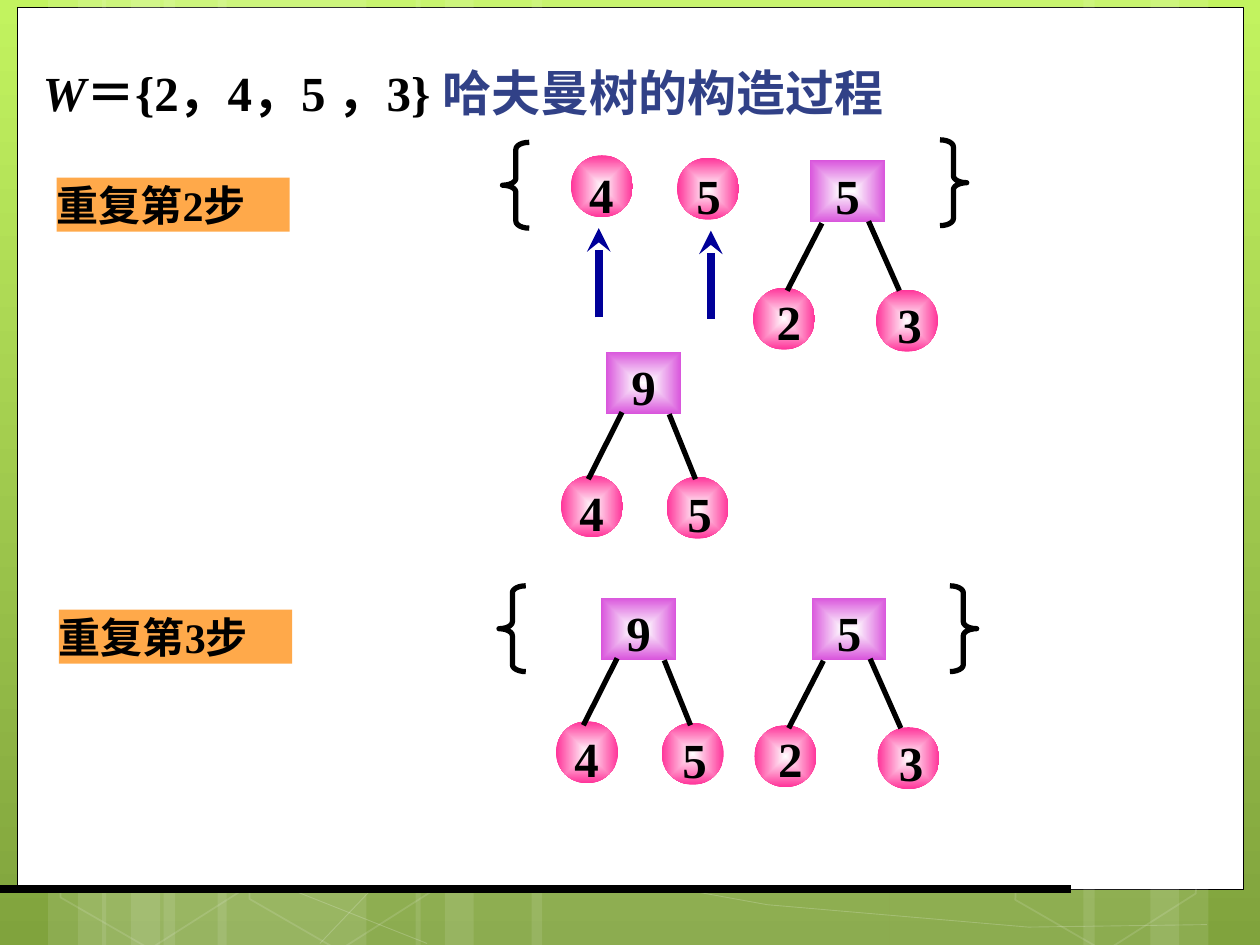
from dataclasses import dataclass

from lxml.etree import SubElement
from pptx import Presentation
from pptx.dml.color import RGBColor
from pptx.enum.shapes import MSO_CONNECTOR, MSO_SHAPE
from pptx.enum.text import MSO_ANCHOR, PP_ALIGN
from pptx.oxml.ns import qn
from pptx.util import Cm, Pt


@dataclass(frozen=True)
class Theme:
    latin: str = "Times New Roman"
    chinese: str = "Noto Sans CJK SC"
    black: str = "000000"
    white: str = "FFFFFF"
    title: str = "314187"
    label: str = "FFA94A"
    leaf: str = "FF3399"
    root: str = "D955DC"
    arrow: str = "000099"
    sky: str = "C2F35F"
    grass: str = "80A33D"
    large: int = 28
    medium: int = 24


# Child circles and branches are measured from the corner of the root square.
# Each child: circle corner, then label offset from the circle.
NARROW = {
    "children": [((-0.91, 2.49), (0.08, 0.04)), ((1.22, 2.52), (0.13, 0.04))],
    "branches": [(0.32, 1.22, -0.36, 2.57), (1.27, 1.26, 1.8, 2.57)],
}
WIDE = {
    "children": [((-1.15, 2.57), (0.19, -0.03)), ((1.33, 2.61), (0.14, 0))],
    "branches": [(0.24, 1.27, -0.46, 2.63), (1.18, 1.23, 1.8, 2.63)],
}
BARS = [(3.3, 4.09), (0.97, 1.17), (1.57, 1.96), (4.39, 4.09), (2.06, 1.17), (2.64, 1.93),
        (17.93, 4.14), (23.19, 1.17), (21.84, 1.93), (10.72, 7.21), (8.38, 1.17), (8.97, 1.96)]
CURVES = [
    [(0.91, 15.67), (4.9, 17.55), (8.61, 19.02)],
    [(0.94, 14.68), (3.78, 15.65), (9.12, 17.09), (15.47, 18.24), (20.73, 18.69), (24.33, 18.64)],
    [(6.45, 19.02), (7.85, 17.55), (9.86, 16.23), (15.01, 14.68), (21.51, 14.27), (24.31, 14.38)],
]
HEXAGONS = [(1.04, 15.01), (4.85, 15.04), (20.29, 15.06)]


class SlideBuilder:
    """Holds the theme and the slide that its methods draw on."""

    def __init__(self, slide, theme):
        self.slide = slide
        self.theme = theme

    def background(self):
        fill = self.slide.background.fill
        fill.gradient()
        fill.gradient_angle = 270
        self.color_stops(fill, self.theme.sky, self.theme.grass)

    def color_stops(self, fill, first, last):
        for stop, color in zip(fill.gradient_stops, (first, last)):
            stop.color.rgb = RGBColor.from_string(color)

    def fade(self, element, percent):
        """Make the solid colour inside element partly transparent."""
        color = next(element.iter(qn("a:srgbClr")))
        SubElement(color, qn("a:alpha")).set("val", str(percent * 1000))

    def outline(self, line, color, width):
        line.color.rgb = RGBColor.from_string(color)
        line.width = Pt(width)

    def shape(self, kind, left, top, width, height, fill=None, line=None, width_pt=0.5):
        shape = self.slide.shapes.add_shape(kind, Cm(left), Cm(top), Cm(width), Cm(height))
        shape.shadow.inherit = False
        if fill:
            shape.fill.solid()
            shape.fill.fore_color.rgb = RGBColor.from_string(fill)
        else:
            shape.fill.background()
        if line:
            self.outline(shape.line, line, width_pt)
        else:
            shape.line.fill.background()
        return shape

    def glowing_shape(self, kind, left, top, width, height, color):
        """Shape that shades from a white centre to its colour at the edges."""
        shape = self.shape(kind, left, top, width, height)
        shape.fill.gradient()
        self.color_stops(shape.fill, self.theme.white, color)
        gradient = shape._element.spPr.find(qn("a:gradFill"))
        gradient.remove(gradient.find(qn("a:lin")))
        center = SubElement(gradient, qn("a:path"))
        center.set("path", "rect")
        rectangle = SubElement(center, qn("a:fillToRect"))
        for side in "ltrb":
            rectangle.set(side, "50000")
        return shape

    def fill_text(self, shape, runs, size, align, anchor, insets=(0, 0, 0, 0), wrap=True):
        frame = shape.text_frame
        frame.word_wrap = wrap
        frame.vertical_anchor = anchor
        (frame.margin_left, frame.margin_top,
         frame.margin_right, frame.margin_bottom) = map(Cm, insets)
        paragraph = frame.paragraphs[0]
        paragraph.alignment = align
        font = paragraph.font
        font.size, font.bold, font.name = Pt(size), True, self.theme.latin
        font.color.rgb = RGBColor.from_string(self.theme.black)
        east_asian = SubElement(font._element, qn("a:ea"))
        east_asian.set("typeface", self.theme.chinese)
        for text in runs:
            paragraph.add_run().text = text
        return paragraph

    def digit(self, shape, value):
        self.fill_text(shape, [value], self.theme.large, PP_ALIGN.CENTER, MSO_ANCHOR.TOP,
                       (0, 0.1, 0, 0), wrap=False)

    def title(self, runs):
        box = self.slide.shapes.add_textbox(Cm(0.61), Cm(1.12), Cm(23.5), Cm(1.45))
        paragraph = self.fill_text(box, runs, self.theme.large, PP_ALIGN.LEFT,
                                   MSO_ANCHOR.MIDDLE, (0.25, 0.13, 0.25, 0.13))
        paragraph.runs[0].font.italic = True
        paragraph.runs[-1].font.color.rgb = RGBColor.from_string(self.theme.title)

    def step_label(self, text, left, top):
        shape = self.shape(MSO_SHAPE.RECTANGLE, left, top, 4.7, 1.09, self.theme.label)
        self.fill_text(shape, [text], self.theme.medium, PP_ALIGN.LEFT, MSO_ANCHOR.MIDDLE)

    def line(self, x1, y1, x2, y2, color, width, arrow=False):
        connector = self.slide.shapes.add_connector(
            MSO_CONNECTOR.STRAIGHT, Cm(x1), Cm(y1), Cm(x2), Cm(y2))
        self.outline(connector.line, color, width)
        properties = connector._element.spPr
        if arrow:
            SubElement(properties.find(qn("a:ln")), qn("a:tailEnd")).set("type", "stealth")
        SubElement(properties, qn("a:effectLst"))

    def curve(self, points):
        scaled = [(Cm(x), Cm(y)) for x, y in points]
        builder = self.slide.shapes.build_freeform(*scaled[0])
        builder.add_line_segments(scaled[1:], close=False)
        shape = builder.convert_to_shape()
        shape.shadow.inherit = False
        shape.fill.background()
        self.outline(shape.line, self.theme.white, 0.5)
        self.fade(shape._element.spPr, 20)

    def leaf(self, value, left, top, offset):
        self.glowing_shape(MSO_SHAPE.OVAL, left, top, 1.25, 1.25, self.theme.leaf)
        box = self.slide.shapes.add_textbox(
            Cm(left + offset[0]), Cm(top + offset[1]), Cm(1.07), Cm(1.45))
        self.digit(box, value)

    def tree(self, root, leaves, left, top, layout):
        for value, ((x, y), offset) in zip(leaves, layout["children"]):
            self.leaf(value, left + x, top + y, offset)
        square = self.glowing_shape(
            MSO_SHAPE.RECTANGLE, left, top, 1.51, 1.25, self.theme.root)
        self.digit(square, root)
        for x1, y1, x2, y2 in layout["branches"]:
            self.line(left + x1, top + y1, left + x2, top + y2, self.theme.black, 3)

    def brace(self, kind, left, top):
        shape = self.shape(kind, left, top, 0.54, 1.73, line=self.theme.black, width_pt=3)
        shape.adjustments[0] = 0.26

    def backdrop(self):
        theme = self.theme
        self.background()
        self.shape(MSO_SHAPE.RECTANGLE, 0.36, 0.15, 24.71, 17.78, theme.white, theme.black)
        for left, width in BARS:
            bar = self.shape(MSO_SHAPE.RECTANGLE, left, 0, width, 19.05, theme.white)
            self.fade(bar._element.spPr, 10)
        for points in CURVES:
            self.curve(points)
        for left, top in HEXAGONS:
            hexagon = self.shape(MSO_SHAPE.HEXAGON, left, top, 4.09, 3.86,
                                 line=theme.white, width_pt=1)
            hexagon.adjustments[0] = 0.26
            hexagon.rotation = 30
            self.fade(hexagon._element.spPr, 12)
        self.line(0, 17.93, 21.59, 17.93, theme.black, 4.5)


def main():
    presentation = Presentation()
    presentation.slide_width, presentation.slide_height = Cm(25.4), Cm(19.05)
    slide = presentation.slides.add_slide(presentation.slide_layouts[6])
    builder = SlideBuilder(slide, Theme())
    builder.backdrop()
    builder.title(["W", "＝{2，4，5 ，3} ", "哈夫曼树的构造过程"])

    builder.step_label("重复第2步", 1.14, 3.58)
    builder.leaf("4", 11.51, 3.13, (0.08, 0.08))
    builder.leaf("5", 13.65, 3.18, (0.1, 0.05))
    builder.brace(MSO_SHAPE.LEFT_BRACE, 10.13, 2.87)
    builder.brace(MSO_SHAPE.RIGHT_BRACE, 18.95, 2.82)
    builder.tree("5", "23", 16.33, 3.23, WIDE)
    for x, bottom, top in [(14.33, 6.43, 4.65), (12.07, 6.4, 4.6)]:
        builder.line(x, bottom, x, top, builder.theme.arrow, 4.5, arrow=True)
    builder.tree("9", "45", 12.22, 7.09, NARROW)

    builder.step_label("重复第3步", 1.19, 12.29)
    builder.brace(MSO_SHAPE.LEFT_BRACE, 10.06, 11.81)
    builder.brace(MSO_SHAPE.RIGHT_BRACE, 19.15, 11.81)
    builder.tree("5", "23", 16.36, 12.05, WIDE)
    builder.tree("9", "45", 12.12, 12.05, NARROW)
    presentation.save("out.pptx")


if __name__ == "__main__":
    main()
